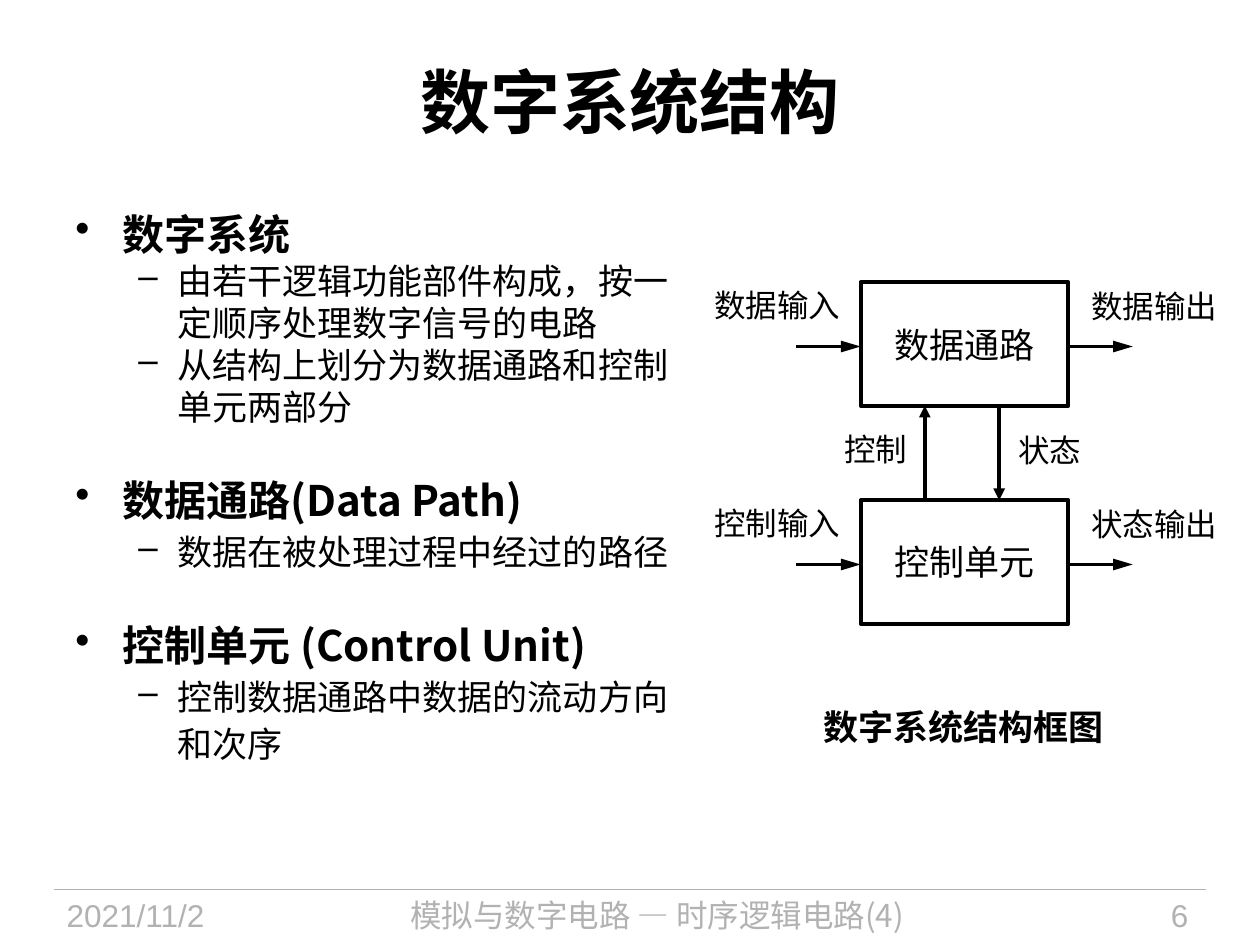
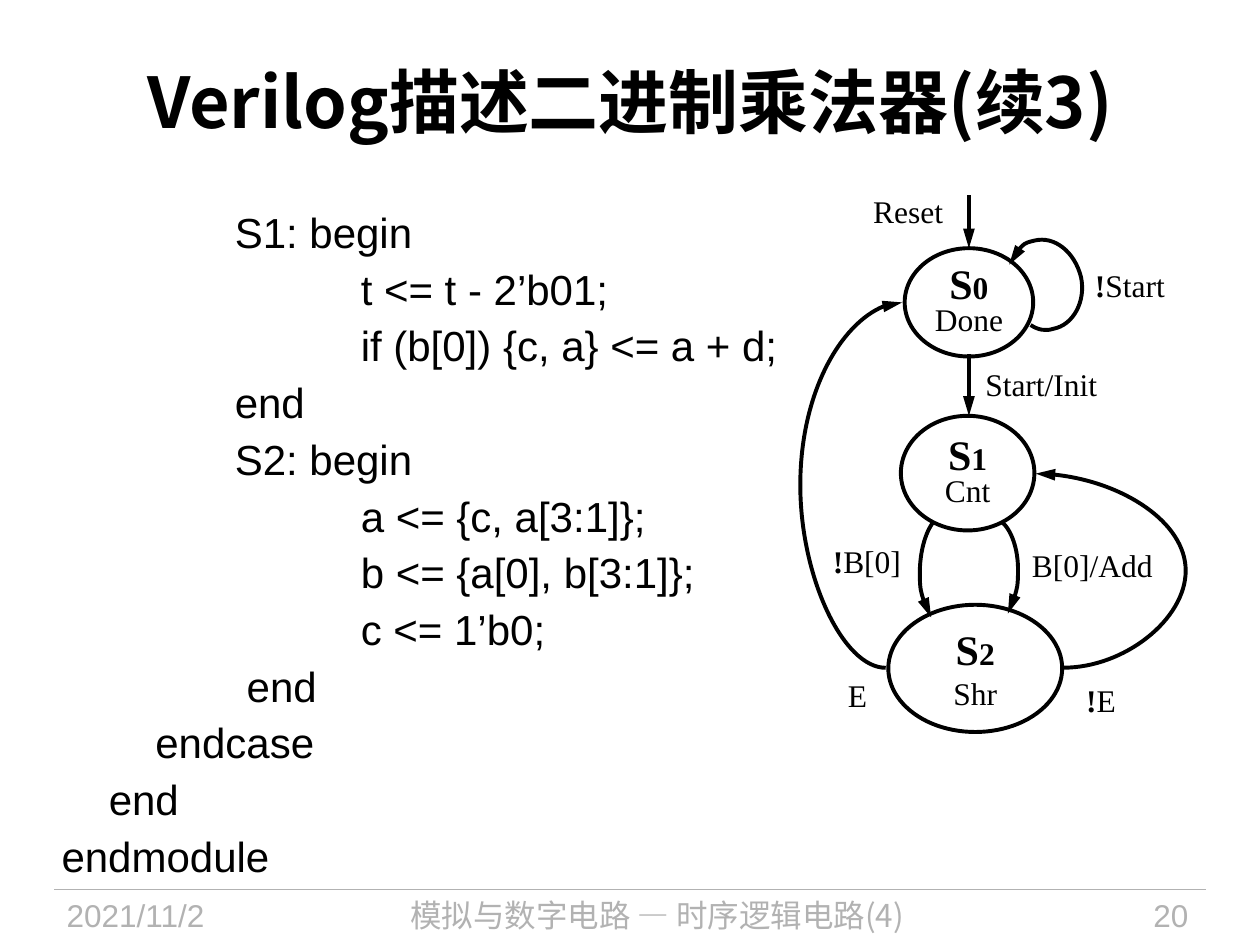
from dataclasses import dataclass

from lxml import etree
from pptx import Presentation
from pptx import util as u
from pptx.dml.color import RGBColor
from pptx.enum import shapes, text
from pptx.oxml import ns

COLUMNS, ROWS = 100, 75
CELL = u.Inches(0.1)
ALIGN = text.PP_ALIGN
MIDDLE, TOP = text.MSO_ANCHOR.MIDDLE, text.MSO_ANCHOR.TOP


@dataclass(frozen=True)
class Theme:
    ink: RGBColor = RGBColor(0, 0, 0)
    muted: RGBColor = RGBColor(0xB2, 0xB2, 0xB2)
    sans: str = "Arial"
    serif: str = "Times New Roman"
    cjk: str = "Noto Sans CJK SC"
    title: int = 40
    heading: int = 24
    body: int = 20
    small: int = 18
    rule: float = 0.75
    stroke: float = 2.25


THEME = Theme()


def grid(*cells):
    return [u.Emu(round(cell * CELL)) for cell in cells]


def add_span(para, words, size, font, bold=False, color=THEME.ink):
    span = para.add_run()
    span.text = words
    span.font.size = u.Pt(size)
    span.font.bold = bold
    span.font.name = font
    span.font.color.rgb = color
    east = etree.SubElement(span._r.get_or_add_rPr(), ns.qn("a:ea"))
    east.set("typeface", THEME.cjk)


def add_box(page, left, top, width, height, inset=1.0, anchor=MIDDLE):
    box = page.shapes.add_textbox(*grid(left, top, width, height))
    frame = box.text_frame
    frame.word_wrap = True
    frame.vertical_anchor = anchor
    frame.margin_left, frame.margin_right = grid(inset, inset)
    return frame


def add_label(page, place, spans, size=THEME.small, font=THEME.serif,
              align=ALIGN.LEFT, color=THEME.ink, inset=0):
    para = add_box(page, *place, inset=inset).paragraphs[0]
    para.alignment = align
    for words, bold in spans:
        add_span(para, words, size, font, bold, color)


def add_indented(frame, first, left, hanging=0.0, bullet=None):
    para = frame.paragraphs[0] if first else frame.add_paragraph()
    props = para._p.get_or_add_pPr()
    margin, indent = grid(left, -hanging)
    props.set("marL", str(margin))
    props.set("indent", str(indent))
    if bullet:
        etree.SubElement(props, ns.qn("a:buChar")).set("char", bullet)
    return para


def style_line(shape, width=THEME.stroke, color=THEME.ink, arrow=None):
    shape.line.color.rgb = color
    shape.line.width = u.Pt(width)
    if arrow:
        tail = etree.SubElement(shape.line._get_or_add_ln(), ns.qn("a:tailEnd"))
        for key, value in (("type", "triangle"), ("w", "med"), ("len", arrow)):
            tail.set(key, value)


def add_line(page, start, end, kind=shapes.MSO_CONNECTOR.STRAIGHT, **style):
    line = page.shapes.add_connector(kind, *grid(*start, *end))
    style_line(line, **style)
    etree.SubElement(line._element.spPr, ns.qn("a:effectLst"))
    return line


def add_arrow(page, start, end, arrow="lg"):
    add_line(page, start, end, arrow=arrow)


def add_bow(page, start, end, bend, half_turn=False):
    line = add_line(page, start, end, shapes.MSO_CONNECTOR.CURVE, arrow="lg")
    props = line._element.spPr
    guide = etree.SubElement(props.find(".//" + ns.qn("a:avLst")), ns.qn("a:gd"))
    guide.set("name", "adj1")
    guide.set("fmla", f"val {round(bend * 100000)}")
    if half_turn:
        props.find(ns.qn("a:xfrm")).set("rot", str(180 * 60000))


def add_arc(page, points):
    spots = [grid(*point) for point in points]
    builder = page.shapes.build_freeform(*spots[0], scale=1.0)
    builder.add_line_segments(spots[1:], close=False)
    arc = builder.convert_to_shape()
    outline = arc._element.find(".//" + ns.qn("a:path"))
    steps = outline.findall(ns.qn("a:lnTo"))
    for index in range(0, len(steps), 3):
        curve = etree.SubElement(outline, ns.qn("a:cubicBezTo"))
        for step in steps[index:index + 3]:
            curve.append(step[0])
            outline.remove(step)
    arc.fill.background()
    arc.shadow.inherit = False
    style_line(arc, arrow="lg")


def add_node(page, kind, place, lines, spacing=1.0, anchor=MIDDLE):
    node = page.shapes.add_shape(kind, *grid(*place))
    node.shadow.inherit = False
    node.fill.background()
    style_line(node)
    frame = node.text_frame
    frame.word_wrap = False
    frame.vertical_anchor = anchor
    frame.margin_left = frame.margin_right = frame.margin_top = frame.margin_bottom = 0
    for index, spans in enumerate(lines):
        para = frame.paragraphs[0] if index == 0 else frame.add_paragraph()
        para.alignment = ALIGN.CENTER
        para.line_spacing = spacing
        for words, size, bold in spans:
            add_span(para, words, size, THEME.serif, bold)


def add_page(deck, title, number, title_font):
    page = deck.slides.add_slide(deck.slide_layouts[6])
    add_line(page, (4.3, 70.6), (95.7, 70.6), width=THEME.rule, color=THEME.muted)
    add_label(page, (5, 1.7, 90, 12.5), [(title, True)], THEME.title,
              title_font, ALIGN.CENTER, inset=1)
    for left, width, words, font, align in (
        (4.3, 18.8, "2021/11/2", THEME.sans, ALIGN.LEFT),
        (24, 56.3, "模拟与数字电路 — 时序逻辑电路(4)", THEME.cjk, ALIGN.CENTER),
        (82, 13.3, str(number), THEME.sans, ALIGN.RIGHT),
    ):
        add_label(page, (left, 70.6, width, 4), [(words, False)],
                  font=font, align=align, color=THEME.muted, inset=1)
    return page


def add_outline(page, topics):
    frame = add_box(page, 5, 15.9, 49.3, 53.9, anchor=TOP)
    for index, (heading, pitch, points) in enumerate(topics):
        para = add_indented(frame, index == 0, 3.75, 3.75, "•")
        para.line_spacing = u.Pt(30)
        para.space_before = u.Pt(26 if index else 0)
        add_span(para, heading, THEME.heading, THEME.cjk, True)
        for point in points:
            para = add_indented(frame, False, 8.1, 3.1, "–")
            para.line_spacing = u.Pt(pitch)
            add_span(para, point, THEME.body, THEME.cjk)


def add_code(page, lines):
    frame = add_box(page, 3.9, 15.9, 90, 54.6, anchor=TOP)
    for index, (indent, words) in enumerate(lines):
        para = add_indented(frame, index == 0, indent)
        para.space_after = u.Pt(3.6)
        add_span(para, words, THEME.heading, THEME.sans)


def add_block_diagram(page):
    left, width, height, reach = 68.3, 16.5, 9.8, 5.1
    right = left + width
    for top, name, inlet, outlet in (
        (22.4, "数据通路", "数据输入", "数据输出"),
        (39.7, "控制单元", "控制输入", "状态输出"),
    ):
        add_node(page, shapes.MSO_SHAPE.RECTANGLE, (left, top, width, height),
                 [[(name, THEME.body, False)]])
        flow = top + 5.1
        add_arrow(page, (left - reach, flow), (left, flow))
        add_arrow(page, (right, flow), (right + reach, flow))
        add_label(page, (56.7, top - 0.2, 11, 4), [(inlet, False)])
        add_label(page, (86.6, top - 0.1, 11, 4), [(outlet, False)])
    add_arrow(page, (73.4, 39.7), (73.4, 32.2), arrow="med")
    add_arrow(page, (79.3, 32.2), (79.3, 39.7), arrow="med")
    add_label(page, (67, 33.6, 6, 4), [("控制", False)])
    add_label(page, (80.8, 33.7, 6, 4), [("状态", False)])
    add_label(page, (64.3, 55.5, 24.4, 4.3), [("数字系统结构框图", True)],
              THEME.body, THEME.sans, ALIGN.CENTER)


def add_state_diagram(page):
    for place, digit, action, spacing, anchor in (
        ((71.8, 19.7, 10.2, 8.6), "0", "Done", 0.8, MIDDLE),
        ((71.5, 33, 10.6, 9.1), "1", "Cnt", 0.8, MIDDLE),
        ((70.5, 48, 13.8, 10.1), "2", "Shr", 1.0, TOP),
    ):
        add_node(page, shapes.MSO_SHAPE.OVAL, place,
                 [[("S", THEME.heading, True), (digit, THEME.small, True)],
                  [(action, THEME.small, False)]], spacing, anchor)
    add_arrow(page, (76.9, 15.5), (76.9, 19.7))
    add_arrow(page, (76.9, 28.1), (76.9, 33))
    for points in (
        [(81.8, 25.8), (82.4, 26.2), (83, 26.3), (83.6, 26.1),
         (85.2, 25.8), (86.2, 23.9), (85.8, 22),
         (85.3, 20), (83.7, 18.7), (82.1, 19.1),
         (81.2, 19.3), (80.5, 20), (80.1, 21)],
        [(74.1, 41.4), (73.4, 42.3), (73, 43.9), (73, 45.5),
         (73, 46.8), (73.3, 48), (73.9, 49)],
        [(79.5, 41.4), (80.3, 42.1), (80.8, 43.6), (80.8, 45.2),
         (80.8, 46.6), (80.5, 47.8), (80, 48.7)],
    ):
        add_arc(page, points)
    add_bow(page, (84.4, 53), (82.2, 37.6), -4.41)
    add_bow(page, (71.6, 24), (70.3, 53), -5.22, half_turn=True)
    for left, top, width, negated, words in (
        (69.3, 15.1, 7, False, "Reset"),
        (78.2, 28.8, 11, False, "Start/Init"),
        (86.9, 21, 8, True, "Start"),
        (66.1, 42.9, 7, True, "B[0]"),
        (81.9, 43.2, 12, False, "B[0]/Add"),
        (67.3, 53.5, 3, False, "E"),
        (86.2, 53.9, 4, True, "E"),
    ):
        mark = [("!", True)] if negated else []
        add_label(page, (left, top, width, 3.3), mark + [(words, False)])


def main():
    deck = Presentation()
    deck.slide_width, deck.slide_height = grid(COLUMNS, ROWS)

    structure = add_page(deck, "数字系统结构", 6, THEME.serif)
    add_outline(structure, [
        ("数字系统", 24, ["由若干逻辑功能部件构成，按一定顺序处理数字信号的电路",
                      "从结构上划分为数据通路和控制单元两部分"]),
        ("数据通路(Data Path)", 27, ["数据在被处理过程中经过的路径"]),
        ("控制单元 (Control Unit)", 27, ["控制数据通路中数据的流动方向和次序"]),
    ])
    add_block_diagram(structure)

    multiplier = add_page(deck, "Verilog描述二进制乘法器(续3)", 20, THEME.cjk)
    case, statement = 13.75, 23.75
    add_code(multiplier, [
        (case, "S1: begin"),
        (statement, "t <= t - 2’b01;"),
        (statement, "if (b[0]) {c, a} <= a + d;"),
        (case, "end"),
        (case, "S2: begin"),
        (statement, "a <= {c, a[3:1]};"),
        (statement, "b <= {a[0], b[3:1]};"),
        (statement, "c <= 1’b0;"),
        (14.7, "end"),
        (7.45, "endcase"),
        (3.75, "end"),
        (0, "endmodule"),
    ])
    add_state_diagram(multiplier)

    deck.save("out.pptx")


if __name__ == "__main__":
    main()
